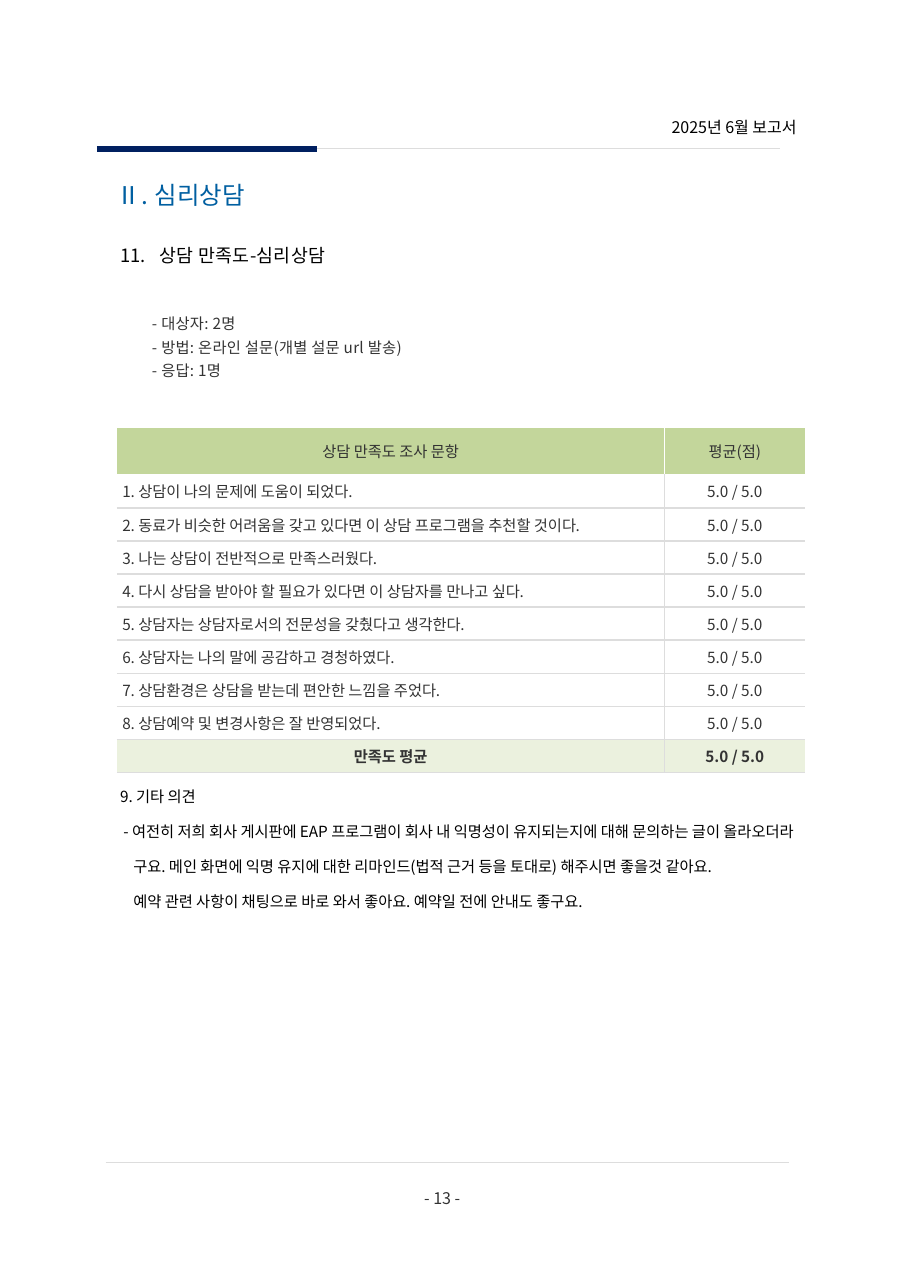
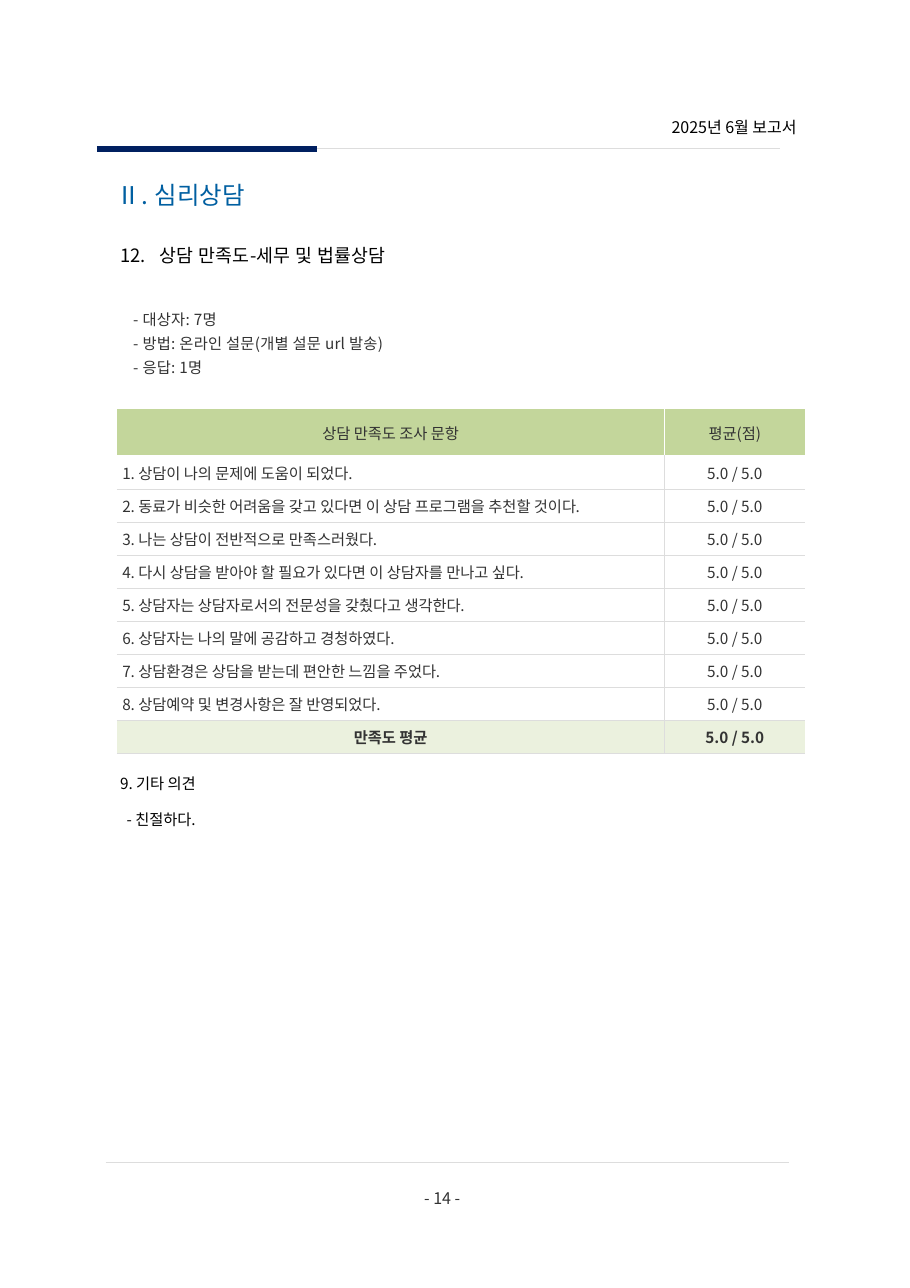
"""Builds two A4 report pages on counselling satisfaction."""
from lxml import etree
from pptx import Presentation
from pptx import util as u
from pptx.dml.color import RGBColor
from pptx.enum import shapes, text
from pptx.oxml.ns import qn

FONT = "Noto Sans CJK KR"
COLORS = {"ink": "333333", "black": "000000", "title": "005FA1", "navy": "002060",
          "rule": "DDDDDD", "white": "FFFFFF", "header": "C3D69B", "total": "EBF1DE"}
GRID = u.Inches(0.1)
ALIGN = text.PP_ALIGN

QUESTIONS = [
    "1. 상담이 나의 문제에 도움이 되었다.",
    "2. 동료가 비슷한 어려움을 갖고 있다면 이 상담 프로그램을 추천할 것이다.",
    "3. 나는 상담이 전반적으로 만족스러웠다.",
    "4. 다시 상담을 받아야 할 필요가 있다면 이 상담자를 만나고 싶다.",
    "5. 상담자는 상담자로서의 전문성을 갖췄다고 생각한다.",
    "6. 상담자는 나의 말에 공감하고 경청하였다.",
    "7. 상담환경은 상담을 받는데 편안한 느낌을 주었다.",
    "8. 상담예약 및 변경사항은 잘 반영되었다.",
]
SCORE = "5.0 / 5.0"
ROWS = [("상담 만족도 조사 문항", "평균(점)"),
        *[(question, SCORE) for question in QUESTIONS],
        ("만족도 평균", SCORE)]
TOTAL_ROW = len(ROWS) - 1
OPINION_ROW = len(ROWS)

REPORTS = [
    {"page": "- 13 -", "heading": "11.\t상담 만족도-심리상담",
     "facts": ["- 대상자: 2명", "- 방법: 온라인 설문(개별 설문 url 발송)", "- 응답: 1명"],
     "facts_at": (13.8, 28.5), "table_top": 38.8, "opinion_gap": 1.1,
     "opinions": [
         (0.3, "9. 기타 의견"),
         (0.6, "- 여전히 저희 회사 게시판에 EAP 프로그램이 회사 내 익명성이 "
               "유지되는지에 대해 문의하는 글이 올라오더라"),
         (1.5, "구요. 메인 화면에 익명 유지에 대한 리마인드(법적 근거 등을 토대로) "
               "해주시면 좋을것 같아요."),
         (1.5, "예약 관련 사항이 채팅으로 바로 와서 좋아요. 예약일 전에 안내도 좋구요.")]},
    {"page": "- 14 -", "heading": "12.\t상담 만족도-세무 및 법률상담",
     "facts": ["- 대상자: 7명", "- 방법: 온라인 설문(개별 설문 url 발송)", "- 응답: 1명"],
     "facts_at": (12.1, 28.2), "table_top": 37.1, "opinion_gap": 1.7,
     "opinions": [(0.3, "9. 기타 의견"), (0.9, "- 친절하다.")]},
]


def write(frame, lines, size, color, align=ALIGN.LEFT, before=0, spacing=0, bold=False,
          margins=(0, 0, 0, 0), anchor=text.MSO_ANCHOR.TOP):
    """Fill a text frame with (left margin, first-line indent, words) paragraphs."""
    frame.word_wrap = True
    frame.vertical_anchor = anchor
    frame.margin_left, frame.margin_top, frame.margin_right, frame.margin_bottom = (
        round(margin * GRID) for margin in margins)
    for number, (left, indent, words) in enumerate(lines):
        paragraph = frame.add_paragraph() if number else frame.paragraphs[0]
        paragraph.text = words
        paragraph.alignment = align
        paragraph.space_before = u.Pt(before if number else 0)
        font = paragraph.font
        font.name, font.size, font.bold = FONT, u.Pt(size), bold
        font.color.rgb = RGBColor.from_string(COLORS[color])
        properties = paragraph._p.get_or_add_pPr()
        properties.set("marL", str(round(left * GRID)))
        properties.set("indent", str(round(indent * GRID)))
        defaults = properties.find(qn("a:defRPr"))
        defaults.set("spc", str(spacing))
        etree.SubElement(defaults, qn("a:ea"), typeface=FONT)


def set_borders(cell, **sides):
    """Give each side of a cell a one-point line in a named colour, or none."""
    properties = cell._tc.get_or_add_tcPr()
    for position, side in enumerate(("left", "right", "top", "bottom")):
        line = etree.Element(qn("a:ln" + side[0].upper()), w=str(u.Pt(1)))
        if side in sides:
            fill = etree.SubElement(line, qn("a:solidFill"))
            etree.SubElement(fill, qn("a:srgbClr"), val=COLORS[sides[side]])
        else:
            etree.SubElement(line, qn("a:noFill"))
        properties.insert(position, line)


presentation = Presentation()
presentation.slide_width, presentation.slide_height = u.Inches(8.26), u.Inches(11.69)

for report in REPORTS:
    slide = presentation.slides.add_slide(presentation.slide_layouts[5])

    for left, top, width, color, weight in [(9.6, 105.5, 62, "rule", 0.75),
                                            (8.8, 13.5, 62, "rule", 0.75),
                                            (8.8, 13.5, 20, "navy", 3.96)]:
        rule = slide.shapes.add_connector(
            shapes.MSO_CONNECTOR.STRAIGHT, round(left * GRID), round(top * GRID),
            round((left + width) * GRID), round(top * GRID))
        rule.line.color.rgb = RGBColor.from_string(COLORS[color])
        rule.line.width = u.Pt(weight)
        etree.SubElement(rule._element.spPr, qn("a:effectLst"))

    title = slide.shapes.title
    title.left, title.top, title.width, title.height = (
        round(length * GRID) for length in (10.6, 16.3, 22, 3.7))
    write(title.text_frame, [(0, 0, "Ⅱ. 심리상담")], 16, "title", spacing=20)

    facts_left, facts_top = report["facts_at"]
    for (left, top, width, height), lines, style in [
        ((55.4, 10.7, 16.9, 1.9), [(0, 0, "2025년 6월 보고서")],
         {"size": 10.5, "color": "black", "align": ALIGN.RIGHT}),
        ((10.9, 22.2, 61.3, 2.6), [(3.6, -3.6, report["heading"])],
         {"size": 12, "color": "black", "spacing": 20}),
        ((facts_left, facts_top, 58, 7), [(0, 0, fact) for fact in report["facts"]],
         {"size": 10, "color": "ink", "before": 3.5, "spacing": 20}),
        ((38.5, 107.9, 4.1, 1.8), [(0, 0, report["page"])],
         {"size": 10.5, "color": "ink"}),
    ]:
        box = slide.shapes.add_textbox(round(left * GRID), round(top * GRID),
                                       round(width * GRID), round(height * GRID))
        write(box.text_frame, lines, **style)

    table = slide.shapes.add_table(
        len(ROWS) + 1, 2, round(10.6 * GRID), round(report["table_top"] * GRID),
        round(62.5 * GRID), round(56.2 * GRID)).table
    table.first_row = table.horz_banding = False
    for column, width in zip(table.columns, (49.7, 12.8)):
        column.width = round(width * GRID)
    for row, height in zip(table.rows, [4.3] + [3] * TOTAL_ROW + [24.9]):
        row.height = round(height * GRID)

    for row_number, row in enumerate(ROWS):
        fill = {0: "header", TOTAL_ROW: "total"}.get(row_number)
        for column_number, words in enumerate(row):
            cell = table.cell(row_number, column_number)
            is_question = column_number == 0 and fill is None
            write(cell.text_frame, [(0.5 if is_question else 0, 0, words)], 10, "ink",
                  align=ALIGN.LEFT if is_question else ALIGN.CENTER,
                  bold=row_number == TOTAL_ROW)
            cell.margin_left = cell.margin_right = cell.margin_top = cell.margin_bottom = 0
            cell.vertical_anchor = text.MSO_ANCHOR.MIDDLE
            if fill:
                cell.fill.solid()
                cell.fill.fore_color.rgb = RGBColor.from_string(COLORS[fill])
            else:
                cell.fill.background()
            line = "rule" if row_number else "white"
            inner_side = "left" if column_number else "right"
            set_borders(cell, top="rule" if row_number > 1 else "white", bottom=line,
                        **{inner_side: line})

    opinion = table.cell(OPINION_ROW, 0)
    opinion.merge(table.cell(OPINION_ROW, 1))
    write(opinion.text_frame, [(0, indent, words) for indent, words in report["opinions"]],
          10, "black", before=8.6)
    opinion.margin_left = opinion.margin_right = opinion.margin_bottom = 0
    opinion.margin_top = round(report["opinion_gap"] * GRID)
    for cell in (opinion, table.cell(OPINION_ROW, 1)):
        cell.fill.background()
        set_borders(cell, top="rule")

presentation.save("out.pptx")
